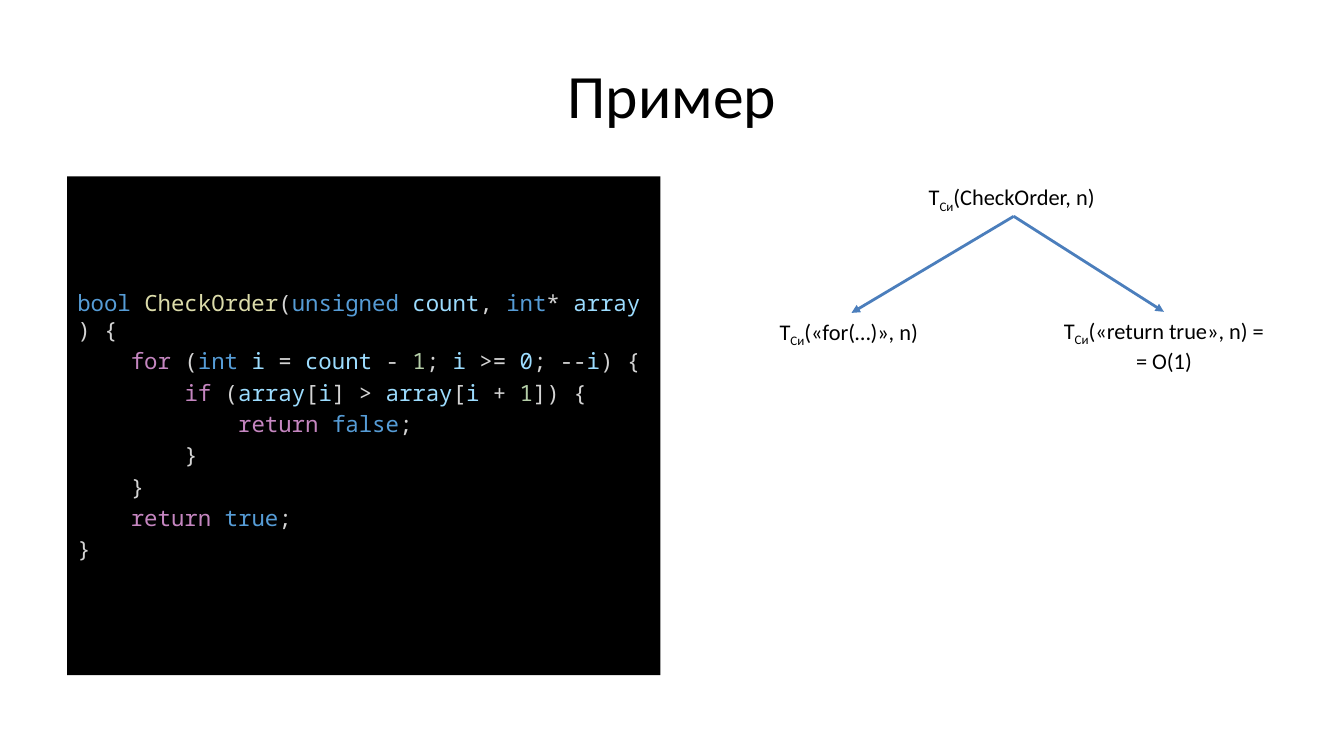
from dataclasses import dataclass

from lxml.etree import SubElement
from pptx import Presentation
from pptx.dml.color import RGBColor
from pptx.enum.shapes import MSO_CONNECTOR
from pptx.enum.text import MSO_ANCHOR, MSO_AUTO_SIZE, PP_ALIGN
from pptx.oxml.ns import qn
from pptx.shapes.autoshape import Shape
from pptx.slide import Slide
from pptx.util import Emu, Pt

EMU_PER_PX = 9525
BLACK = RGBColor(0x00, 0x00, 0x00)
ARROW_BLUE = RGBColor(0x4B, 0x7E, 0xBC)
KEYWORD = RGBColor(0x56, 0x9C, 0xD6)
FUNCTION = RGBColor(0xDC, 0xDC, 0xAA)
VARIABLE = RGBColor(0x9C, 0xDC, 0xFE)
CONTROL = RGBColor(0xC5, 0x86, 0xC0)
NUMBER = RGBColor(0xB5, 0xCE, 0xA8)
PLAIN = RGBColor(0xD4, 0xD4, 0xD4)

TOKEN_COLOURS = {
    **dict.fromkeys(("bool", "unsigned", "int", "true", "false"), KEYWORD),
    **dict.fromkeys(("for", "if", "return"), CONTROL),
    **dict.fromkeys(("count", "array", "i", "0"), VARIABLE),
    "CheckOrder": FUNCTION,
    "1": NUMBER,
}
# Tokens are separated by "|"
CODE_LINES = (
    "bool |CheckOrder|(|unsigned |count|, |int|* |array|) {",
    "    |for| (|int |i| = |count| - |1|; |i |>= |0|; --|i|) {",
    "        |if| (|array|[|i|] > |array|[|i| + |1|]) {",
    "            |return |false|;",
    "        }",
    "    }",
    "    |return |true|;",
    "}",
)
NO_BREAK_SPACE = chr(160)


@dataclass(frozen=True)
class Box:
    left: int
    top: int
    width: int
    height: int

    def emu(self) -> tuple[Emu, ...]:
        return tuple(Emu(px * EMU_PER_PX)
                     for px in (self.left, self.top, self.width, self.height))


@dataclass(frozen=True)
class CostNode:
    box: Box
    argument: str
    result: str = ""


ROOT = CostNode(Box(875, 170, 181, 36), "(CheckOrder, n)")
BRANCHES = (
    CostNode(Box(733, 298, 156, 36), "(«for(…)», n)"),
    CostNode(Box(1001, 297, 215, 61), "(«return true», n) =", "= O(1)"),
)


def place(shape: Shape, box: Box) -> None:
    shape.left, shape.top, shape.width, shape.height = box.emu()


def fill_title(title: Shape) -> None:
    place(title, Box(64, 29, 1152, 120))
    title.text_frame.vertical_anchor = MSO_ANCHOR.MIDDLE
    heading = title.text_frame.paragraphs[0]
    heading.text = "Пример"
    heading.alignment = PP_ALIGN.CENTER
    heading.font.name, heading.font.size = "Calibri", Pt(44)
    heading.font.color.rgb = BLACK


def fill_code(listing: Shape) -> None:
    place(listing, Box(64, 168, 565, 475))
    listing.fill.solid()
    listing.fill.fore_color.rgb = BLACK
    frame = listing.text_frame
    frame.auto_size = MSO_AUTO_SIZE.NONE
    frame.vertical_anchor = MSO_ANCHOR.MIDDLE
    for number, code_line in enumerate(CODE_LINES):
        paragraph = frame.add_paragraph() if number else frame.paragraphs[0]
        properties = paragraph._p.get_or_add_pPr()
        properties.set("marL", "0")
        properties.set("indent", "0")
        SubElement(properties, qn("a:buNone"))
        paragraph.space_before = Pt(3.2 if number else 0)
        paragraph.font.name, paragraph.font.size = "Noto Sans Mono", Pt(16)
        for token in code_line.split("|"):
            run = paragraph.add_run()
            run.text = token.replace(" ", NO_BREAK_SPACE)
            run.font.color.rgb = TOKEN_COLOURS.get(token.strip(), PLAIN)


def add_cost(slide: Slide, node: CostNode) -> Shape:
    label = slide.shapes.add_textbox(*node.box.emu())
    frame = label.text_frame
    frame.word_wrap = False
    frame.auto_size = MSO_AUTO_SIZE.SHAPE_TO_FIT_TEXT
    formula = frame.paragraphs[0]
    for part in ("T", "Си", node.argument):
        run = formula.add_run()
        run.text = part
        if part == "Си":
            run._r.get_or_add_rPr().set("baseline", "-25000")
    if node.result:
        frame.add_paragraph().text = node.result
    for paragraph in frame.paragraphs:
        paragraph.alignment = PP_ALIGN.CENTER if node.result else PP_ALIGN.LEFT
        paragraph.font.name, paragraph.font.size = "Calibri", Pt(16)
        paragraph.font.color.rgb = BLACK
    return label


def add_arrow(slide: Slide, parent: Shape, child: Shape) -> None:
    arrow = slide.shapes.add_connector(MSO_CONNECTOR.STRAIGHT, 0, 0, 0, 0)
    arrow.begin_connect(parent, 2)
    arrow.end_connect(child, 0)
    arrow.line.color.rgb = ARROW_BLUE
    arrow.line.width = Pt(2)
    SubElement(arrow.line._get_or_add_ln(), qn("a:tailEnd"), type="triangle")
    SubElement(arrow._element.spPr, qn("a:effectLst"))


def main() -> None:
    presentation = Presentation()
    presentation.slide_width = Emu(1280 * EMU_PER_PX)
    presentation.slide_height = Emu(720 * EMU_PER_PX)
    slide = presentation.slides.add_slide(presentation.slide_layouts[1])

    # Title and code listing
    fill_title(slide.shapes.title)
    fill_code(slide.placeholders[1])

    # Cost tree
    root = add_cost(slide, ROOT)
    branches = [add_cost(slide, node) for node in BRANCHES]
    for branch in branches:
        add_arrow(slide, root, branch)

    presentation.save("out.pptx")


if __name__ == "__main__":
    main()
